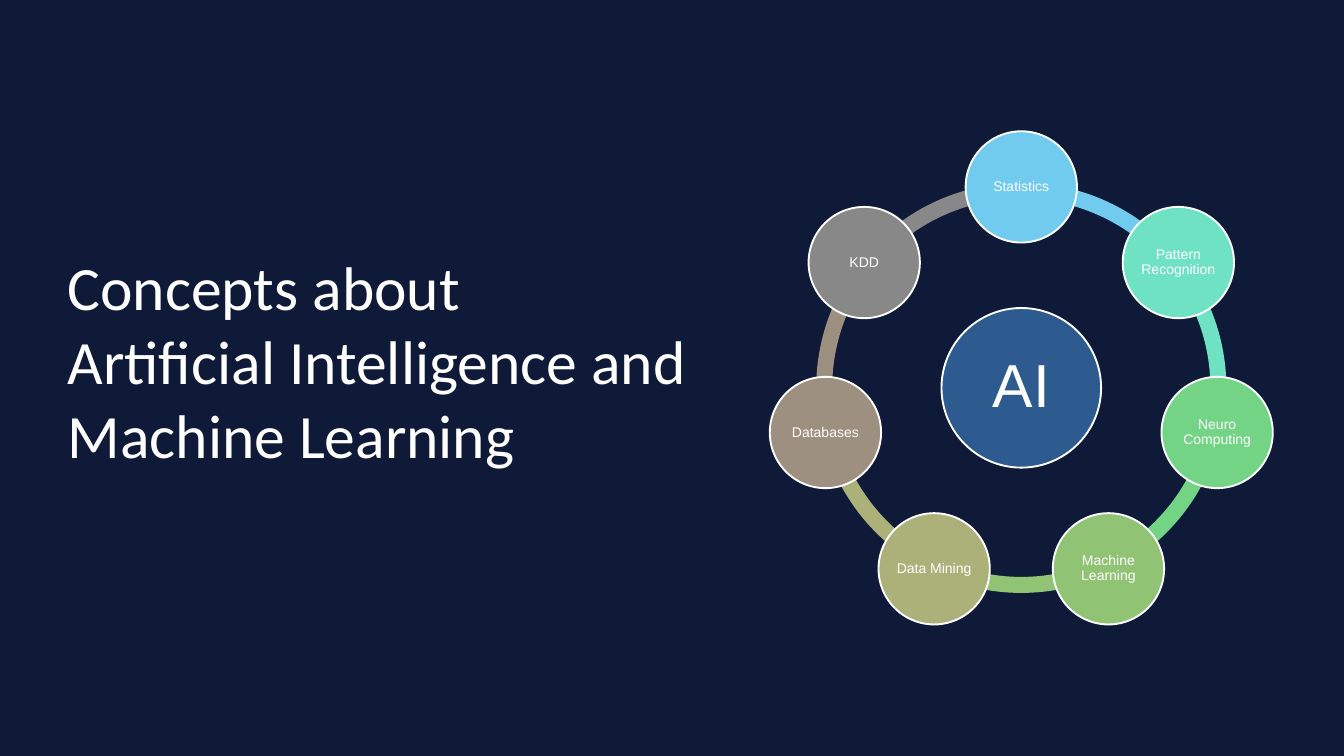
from dataclasses import dataclass
from math import cos, radians, sin

from pptx import Presentation
from pptx.dml.color import RGBColor
from pptx.enum.shapes import MSO_SHAPE as Shape
from pptx.enum.text import MSO_ANCHOR as Anchor, MSO_AUTO_SIZE as Fit, PP_ALIGN as Align
from pptx.util import Emu, Pt


@dataclass(frozen=True)
class Theme:
    back: str = "0F1A38"
    text: str = "FFFFFF"
    hub: str = "2D5B8F"
    head: str = "Calibri"
    body: str = "Arial"
    title: int = 66
    core: int = 65
    label: int = 15
    rim: int = 2


THEME = Theme()

# Fields around the ring, clockwise from the top
FIELDS = [
    ("Statistics", "71CBEF"),
    ("Pattern Recognition", "70E2C4"),
    ("Neuro Computing", "72D484"),
    ("Machine Learning", "91C375"),
    ("Data Mining", "ACB179"),
    ("Databases", "9E9080"),
    ("KDD", "888888"),
]
STEP = 360 / len(FIELDS)
TOP = 270  # angle of the first field, in degrees

# Ring geometry in px
MID = (1459, 554)
ORBIT = 287
RING, HUB, NODE = 586, 228, 159
BAND = 0.039  # thickness as a share of the ring


def px(n):
    return Emu(round(n * 9525))


def rgb(code):
    return RGBColor.from_string(code)


def style(para, face, size):
    for run in para.runs:
        run.font.name = face
        run.font.size = Pt(size)
        run.font.color.rgb = rgb(THEME.text)


def add_round(group, kind, mid, size, color):
    """Place a filled shape of equal width and height around a centre."""
    x, y = (px(c - size / 2) for c in mid)
    shape = group.shapes.add_shape(kind, x, y, px(size), px(size))
    shape.shadow.inherit = False
    shape.fill.solid()
    shape.fill.fore_color.rgb = rgb(color)
    return shape


def add_arc(group, start, color):
    arc = add_round(group, Shape.BLOCK_ARC, MID, RING, color)
    arc.line.fill.background()
    # Angles are stored in units of 5/3 degree
    arc.adjustments[0] = start % 360 * 0.6
    arc.adjustments[1] = (start + STEP) % 360 * 0.6
    arc.adjustments[2] = BAND


def add_disc(group, mid, size, color, text, points, inset):
    disc = add_round(group, Shape.OVAL, mid, size, color)
    disc.line.color.rgb = rgb(THEME.text)
    disc.line.width = Pt(THEME.rim)
    frame = disc.text_frame
    frame.text = text
    frame.word_wrap = True
    frame.vertical_anchor = Anchor.MIDDLE
    frame.margin_left = frame.margin_right = px(inset)
    frame.margin_top = frame.margin_bottom = px(inset)
    para = frame.paragraphs[0]
    para.alignment = Align.CENTER
    para.line_spacing = 0.9
    style(para, THEME.body, points)


def set_title(slide, text):
    title = slide.shapes.title
    title.left, title.top = px(87), px(264)
    title.width, title.height = px(1023), px(413)
    frame = title.text_frame
    frame.text = text
    frame.word_wrap = True
    frame.auto_size = Fit.NONE
    frame.vertical_anchor = Anchor.BOTTOM
    para = frame.paragraphs[0]
    para.alignment = Align.LEFT
    style(para, THEME.head, THEME.title)


def add_cycle(slide):
    group = slide.shapes.add_group_shape()
    # Ring segments
    for i, (_, color) in enumerate(FIELDS):
        add_arc(group, TOP + i * STEP, color)
    # Hub
    add_disc(group, MID, HUB, THEME.hub, "AI", THEME.core, 9)
    # Fields on the ring
    for i, (name, color) in enumerate(FIELDS):
        turn = radians(TOP + i * STEP)
        mid = (MID[0] + ORBIT * cos(turn), MID[1] + ORBIT * sin(turn))
        add_disc(group, mid, NODE, color, name, THEME.label, 2)


def main():
    deck = Presentation()
    deck.slide_width, deck.slide_height = px(1920), px(1080)
    slide = deck.slides.add_slide(deck.slide_layouts[5])
    slide.background.fill.solid()
    slide.background.fill.fore_color.rgb = rgb(THEME.back)
    set_title(slide, "Concepts about \vArtificial Intelligence and \vMachine Learning")
    add_cycle(slide)
    deck.save("out.pptx")


if __name__ == "__main__":
    main()
